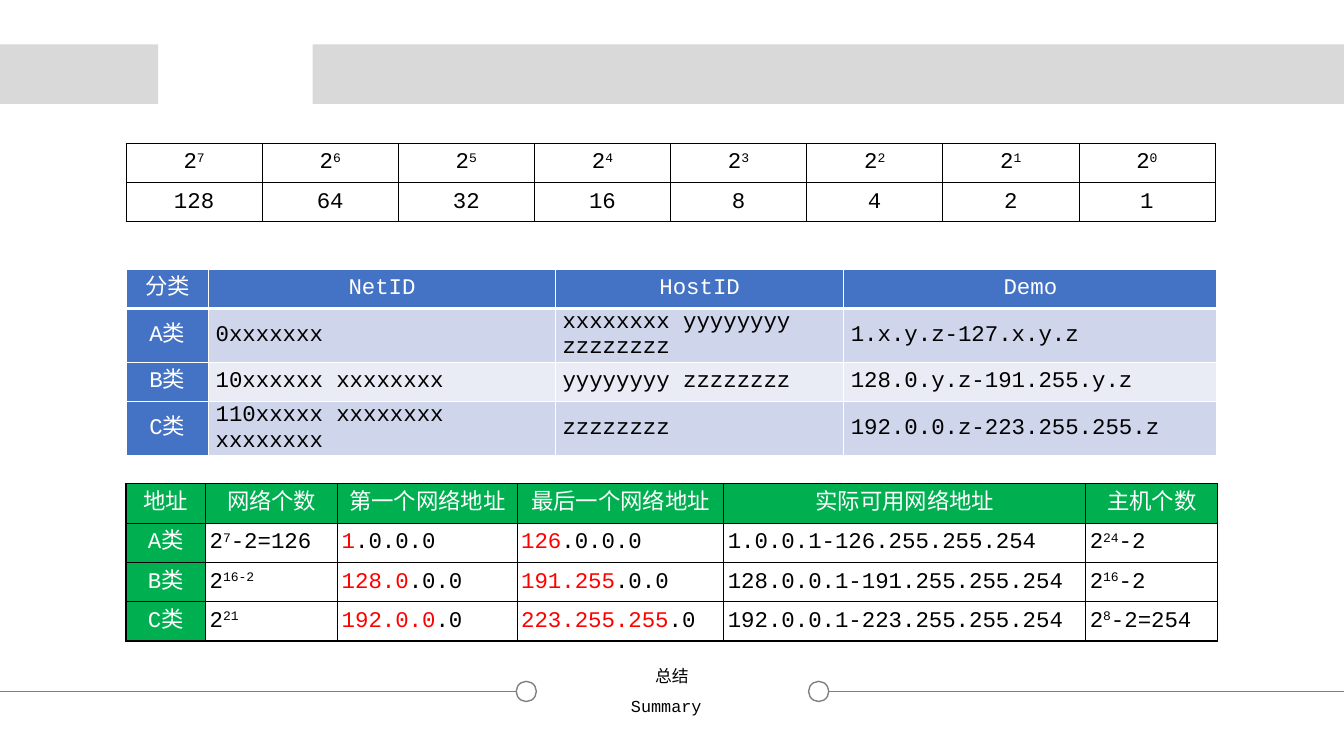
import pptx
import pptx.util
import pptx.dml.color
import pptx.enum.shapes
import pptx.enum.text
import pptx.oxml
import pptx.oxml.ns
from pptx.util import Inches

RGBColor = pptx.dml.color.RGBColor
BLACK = RGBColor(0x00, 0x00, 0x00)
WHITE = RGBColor(0xFF, 0xFF, 0xFF)
RED = RGBColor(0xFF, 0x00, 0x00)
GREEN = RGBColor(0x00, 0xB0, 0x50)
BLUE = RGBColor(0x44, 0x72, 0xC4)
BAND_DARK = RGBColor(0xCF, 0xD5, 0xEA)
BAND_LIGHT = RGBColor(0xE9, 0xEB, 0xF5)
LIGHT_GRAY = RGBColor(0xD9, 0xD9, 0xD9)
GRAY = RGBColor(0x80, 0x80, 0x80)
MONO = "Courier New"
SANS = "Noto Sans CJK SC"
CENTER = pptx.enum.text.PP_ALIGN.CENTER
LEFT = pptx.enum.text.PP_ALIGN.LEFT
RECTANGLE = pptx.enum.shapes.MSO_SHAPE.RECTANGLE
OVAL = pptx.enum.shapes.MSO_SHAPE.OVAL

TABLE_LEFT = 1.25
ROW_HEIGHT = 0.39
SUPERSCRIPT_MARK = "^"
RED_MARK = "*"

POWERS = [
    [f"2^{power}^" for power in range(7, -1, -1)],
    [str(2 ** power) for power in range(7, -1, -1)],
]
CLASSES = [
    ["分类", "NetID", "HostID", "Demo"],
    ["A类", "0xxxxxxx", "xxxxxxxx yyyyyyyy zzzzzzzz", "1.x.y.z-127.x.y.z"],
    ["B类", "10xxxxxx xxxxxxxx", "yyyyyyyy zzzzzzzz", "128.0.y.z-191.255.y.z"],
    ["C类", "110xxxxx xxxxxxxx xxxxxxxx", "zzzzzzzz", "192.0.0.z-223.255.255.z"],
]
ADDRESSES = [
    ["地址", "网络个数", "第一个网络地址", "最后一个网络地址", "实际可用网络地址", "主机个数"],
    ["A类", "2^7^-2=126", "*1*.0.0.0", "*126*.0.0.0", "1.0.0.1-126.255.255.254", "2^24^-2"],
    ["B类", "2^16-2^", "*128.0*.0.0", "*191.255*.0.0", "128.0.0.1-191.255.255.254", "2^16^-2"],
    ["C类", "2^21^", "*192.0.0*.0", "*223.255.255*.0", "192.0.0.1-223.255.255.254", "2^8^-2=254"],
]


def write_text(text_frame, text, size=16, font=MONO, color=BLACK, align=LEFT):
    paragraph = text_frame.paragraphs[0]
    paragraph.alignment = align
    for raised, piece in enumerate(text.split(SUPERSCRIPT_MARK)):
        for marked, part in enumerate(piece.split(RED_MARK)):
            if not part:
                continue
            run = paragraph.add_run()
            run.text = part
            run.font.size = pptx.util.Pt(size)
            run.font.name = font
            run.font.color.rgb = RED if marked % 2 else color
            properties = run._r.get_or_add_rPr()
            east_asian = pptx.oxml.parse_xml(
                f'<a:ea {pptx.oxml.ns.nsdecls("a")} typeface="{font}"/>')
            properties.find(pptx.oxml.ns.qn("a:latin")).addnext(east_asian)
            if raised % 2:
                properties.set("baseline", "30000")


def set_borders(cell, color, width, bottom_width):
    properties = cell._tc.get_or_add_tcPr()
    for index, side in enumerate("LRTB"):
        points = bottom_width if side == "B" else width
        properties.insert(index, pptx.oxml.parse_xml(
            f'<a:ln{side} {pptx.oxml.ns.nsdecls("a")} w="{pptx.util.Pt(points)}">'
            f'<a:solidFill><a:srgbClr val="{color}"/></a:solidFill></a:ln{side}>'))


def add_grid(slide, rows, top, widths, heights, border, border_width=1, margins=(0.1, 0.05),
             header_fill=None, bands=(None,), header_rule=None, body_align=LEFT):
    frame = slide.shapes.add_table(
        len(rows), len(widths), Inches(TABLE_LEFT), Inches(top),
        Inches(sum(widths)), Inches(sum(heights)))
    table = frame.table
    table.first_row = table.horz_banding = False
    for column, width in zip(table.columns, widths):
        column.width = Inches(width)
    for row, height in zip(table.rows, heights):
        row.height = Inches(height)
    for row_index, row in enumerate(rows):
        for column_index, text in enumerate(row):
            cell = table.cell(row_index, column_index)
            is_header = header_fill is not None and 0 in (row_index, column_index)
            fill = header_fill if is_header else bands[(row_index - 1) % len(bands)]
            if fill is None:
                cell.fill.background()
            else:
                cell.fill.solid()
                cell.fill.fore_color.rgb = fill
            cell.vertical_anchor = pptx.enum.text.MSO_ANCHOR.MIDDLE
            cell.margin_left = cell.margin_right = Inches(margins[0])
            cell.margin_top = cell.margin_bottom = Inches(margins[1])
            write_text(cell.text_frame, text, color=WHITE if is_header else BLACK,
                       align=CENTER if is_header else body_align)
            rule = header_rule if header_rule and row_index == 0 else border_width
            set_borders(cell, border, border_width, rule)


def add_figure(slide, kind, left, top, width, height, fill=None, line=None):
    shape = slide.shapes.add_shape(kind, Inches(left), Inches(top), Inches(width), Inches(height))
    shape.shadow.inherit = False
    if fill is None:
        shape.fill.background()
    else:
        shape.fill.solid()
        shape.fill.fore_color.rgb = fill
    if line is None:
        shape.line.fill.background()
    else:
        shape.line.color.rgb = line
        shape.line.width = pptx.util.Pt(1)


def add_rule(slide, start, end, top):
    connector = slide.shapes.add_connector(
        pptx.enum.shapes.MSO_CONNECTOR.STRAIGHT,
        Inches(start), Inches(top), Inches(end), Inches(top))
    connector.line.color.rgb = GRAY
    connector.line.width = pptx.util.Pt(0.5)
    connector._element.spPr.append(
        pptx.oxml.parse_xml(f'<a:effectLst {pptx.oxml.ns.nsdecls("a")}/>'))


def add_label(slide, text, left, top, width, font):
    box = slide.shapes.add_textbox(Inches(left), Inches(top), Inches(width), Inches(0.3))
    box.text_frame.word_wrap = False
    box.text_frame.auto_size = pptx.enum.text.MSO_AUTO_SIZE.SHAPE_TO_FIT_TEXT
    write_text(box.text_frame, text, size=12, font=font)


def main():
    presentation = pptx.Presentation()
    presentation.slide_width = Inches(13.33)
    presentation.slide_height = Inches(7.5)
    slide = presentation.slides.add_slide(presentation.slide_layouts[6])

    for circle_left, line_start, line_end in ((8.02, 8.22, 13.33), (5.12, 5.12, 0)):
        add_figure(slide, OVAL, circle_left, 6.76, 0.2, 0.2, line=GRAY)
        add_rule(slide, line_start, line_end, 6.86)
    add_label(slide, "总结", 6.4, 6.56, 0.54, SANS)
    add_label(slide, "Summary", 6.16, 6.85, 0.91, MONO)
    for left, width in ((3.1, 10.23), (0, 1.57)):
        add_figure(slide, RECTANGLE, left, 0.44, width, 0.59, fill=LIGHT_GRAY)

    add_grid(slide, ADDRESSES, 4.8, [0.79, 1.31, 1.78, 2.05, 3.59, 1.31], [ROW_HEIGHT] * 4,
             BLACK, margins=(0.04, 0.04), header_fill=GREEN)
    add_grid(slide, CLASSES, 2.67, [0.82, 3.44, 2.86, 3.7], [ROW_HEIGHT, 0.53, ROW_HEIGHT, 0.53],
             WHITE, margins=(0.07, 0), header_fill=BLUE, bands=(BAND_DARK, BAND_LIGHT),
             header_rule=3)
    add_grid(slide, POWERS, 1.42, [1.35] * 8, [ROW_HEIGHT] * 2, BLACK, border_width=0.5,
             body_align=CENTER)
    presentation.save("out.pptx")


if __name__ == "__main__":
    main()
